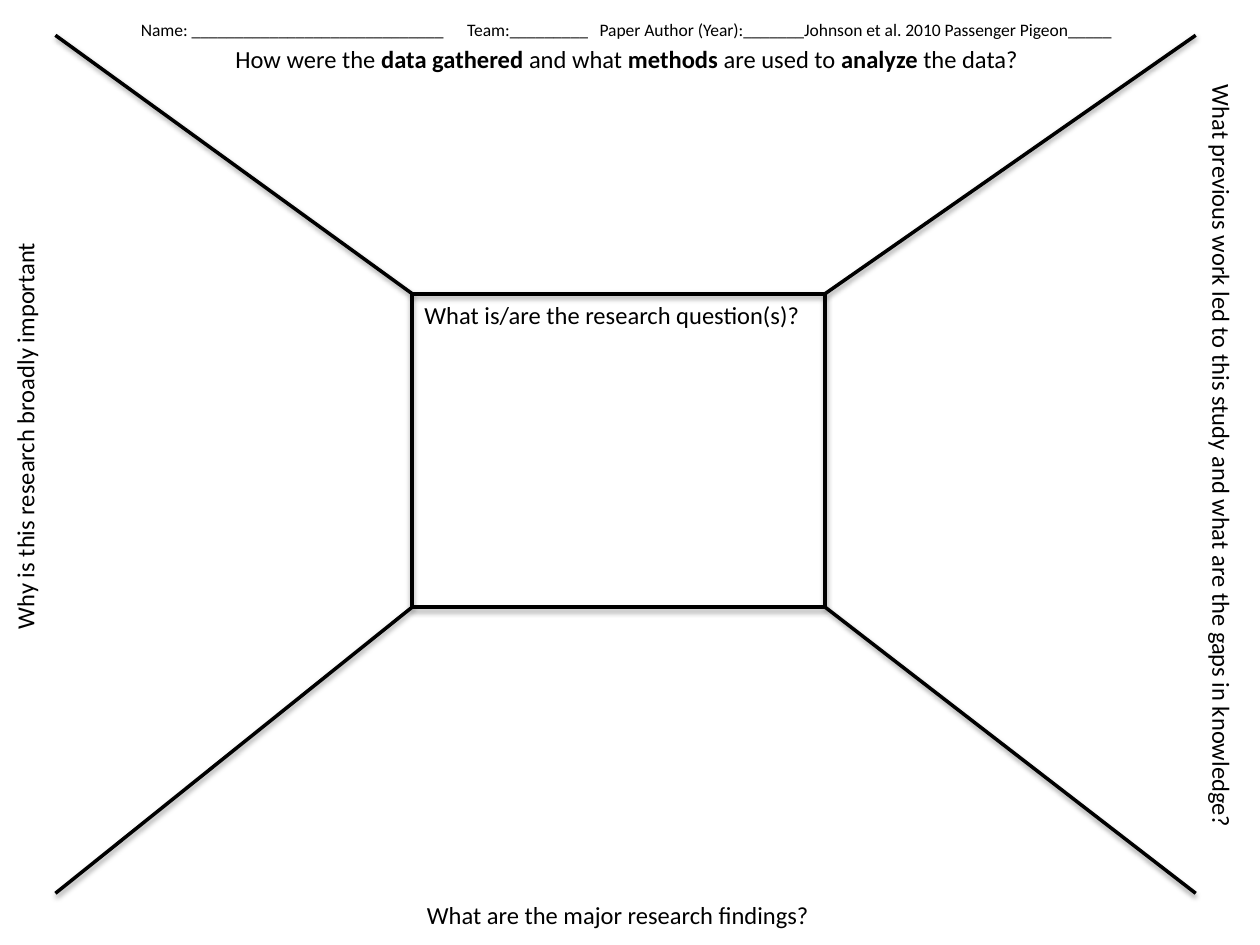
from lxml import etree
from pptx import Presentation
from pptx.dml.color import RGBColor
from pptx.enum.shapes import MSO_CONNECTOR, MSO_SHAPE
from pptx.enum.text import PP_ALIGN
from pptx.oxml.ns import qn
from pptx.util import Inches, Pt

BLACK = RGBColor(0, 0, 0)
RECT = MSO_SHAPE.RECTANGLE
LINE = MSO_CONNECTOR.STRAIGHT
LEFT, CENTER = PP_ALIGN.LEFT, PP_ALIGN.CENTER
FONT = "Calibri"
WIDE, HIGH = 10, 7.5

# Edges of the central box and of the outer frame
BOX_X, BOX_Y = (3.27, 6.55), (2.33, 4.82)
RIM_X, RIM_Y = (0.44, 9.49), (0.28, 7.09)


def add_shadow(shape, alpha, dist):
    """Give a shape a soft black shadow that falls straight down."""
    props = shape._element.spPr
    effects = etree.SubElement(props, qn("a:effectLst"))
    outer = etree.SubElement(
        effects, qn("a:outerShdw"), blurRad=str(Pt(3.1)),
        dist=str(Pt(dist)), dir="5400000", rotWithShape="0")
    color = etree.SubElement(outer, qn("a:srgbClr"), val=str(BLACK))
    etree.SubElement(color, qn("a:alpha"), val=str(alpha * 1000))


def add_box(slide):
    """Draw the central box."""
    left, right = BOX_X
    top, base = BOX_Y
    box = slide.shapes.add_shape(RECT, Inches(left), Inches(top),
                                 Inches(right - left), Inches(base - top))
    box.fill.background()
    box.line.color.rgb = BLACK
    box.line.width = Pt(2.25)
    add_shadow(box, 35, 1.8)


def add_ray(slide, start, end):
    """Draw a line from a box corner to a frame corner."""
    ray = slide.shapes.add_connector(
        LINE, *[Inches(v) for v in (*start, *end)])
    ray.line.color.rgb = BLACK
    ray.line.width = Pt(2)
    add_shadow(ray, 38, 1.6)


def add_text(slide, place, parts, size=14, align=LEFT, turn=0, wrap=False):
    """Add one line of text; every second part is bold."""
    box = slide.shapes.add_textbox(*[Inches(v) for v in place])
    box.rotation = turn
    box.text_frame.word_wrap = wrap
    para = box.text_frame.paragraphs[0]
    para.alignment = align
    para.font.name = FONT
    para.font.size = Pt(size)
    para.font.color.rgb = BLACK
    for index, part in enumerate(parts):
        run = para.add_run()
        run.text = part
        if index % 2:
            run.font.bold = True
    return para


def set_tabs(para, stops):
    """Set left tab stops, in inches, on a paragraph."""
    tabs = etree.Element(qn("a:tabLst"))
    for stop in stops:
        etree.SubElement(tabs, qn("a:tab"), pos=str(Inches(stop)), algn="l")
    para._p.get_or_add_pPr().insert(0, tabs)


def main():
    """Build the reading worksheet."""
    deck = Presentation()
    deck.slide_width, deck.slide_height = Inches(WIDE), Inches(HIGH)
    slide = deck.slides.add_slide(deck.slide_layouts[6])

    add_text(slide, (BOX_X[0], BOX_Y[0], 3.22, 2.49),
             ["What is/are the research question(s)?"], wrap=True)
    add_box(slide)
    for box_x, rim_x in zip(BOX_X, RIM_X):
        for box_y, rim_y in zip(BOX_Y, RIM_Y):
            add_ray(slide, (box_x, box_y), (rim_x, rim_y))

    add_text(slide, (BOX_X[0], RIM_Y[1], 3.27, 0.34),
             ["What are the major research findings?"], align=CENTER)
    add_text(slide, (1.77, 0.3, 6.57, 0.34),
             ["How were the ", "data gathered ", "and what ", "methods",
              " are used to ", "analyze", " the data?"])
    fields = ["Name: " + "_" * 29, "Team:" + "_" * 9,
              "Paper Author (Year):" + "_" * 7
              + "Johnson et al. 2010 Passenger Pigeon" + "_" * 5]
    head = add_text(slide, (1.02, 0.1, 8.04, 0.27), ["\t".join(fields)],
                    size=10, wrap=True)
    set_tabs(head, (2.59, 3.64))
    add_text(slide, (6.64, 3.46, 6.11, 0.34),
             ["What previous work led to this study and what are the gaps "
              "in knowledge?"], turn=90)
    add_text(slide, (-1.45, 3.27, 3.3, 0.34),
             ["Why is this research broadly important "], turn=270)
    deck.save("out.pptx")


main()
